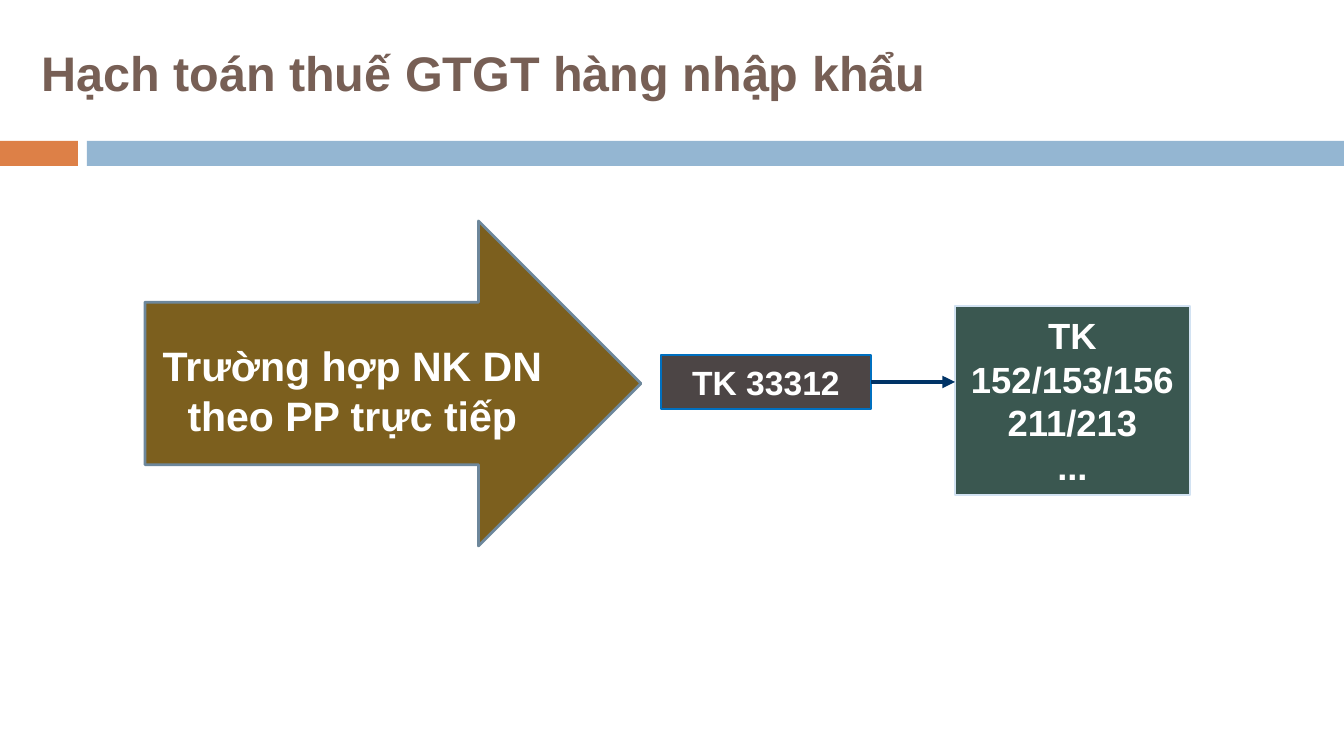
from lxml import etree
from pptx import Presentation
from pptx import util as u
from pptx.dml.color import RGBColor
from pptx.enum import shapes, text
from pptx.oxml.ns import qn

PX = 914400 / 134.4
THEME = {
    "font": "Arial",
    "white": "FFFFFF", "title": "775F55", "orange": "DD8047", "blue": "94B6D2",
    "brown": "7C5F1E", "brown_line": "6D879B", "grey": "4C4545", "grey_line": "0070C0",
    "green": "3A5750", "green_line": "D2E2F2", "connector": "003366",
    "title_size": 26, "arrow_size": 22, "target_size": 19.5, "source_size": 18,
}


def px(value):
    return u.Emu(round(value * PX))


def write(shape, lines, size, color, alignment):
    frame = shape.text_frame
    frame.word_wrap = True
    frame.vertical_anchor = text.MSO_ANCHOR.MIDDLE
    frame.text = "\n".join(lines)
    for paragraph in frame.paragraphs:
        paragraph.alignment = alignment
        paragraph.font.name = THEME["font"]
        paragraph.font.size = u.Pt(THEME[size])
        paragraph.font.bold = True
        paragraph.font.color.rgb = RGBColor.from_string(THEME[color])


presentation = Presentation()
presentation.slide_width, presentation.slide_height = px(1344), px(756)
slide = presentation.slides.add_slide(presentation.slide_layouts[6])

RECTANGLE = shapes.MSO_SHAPE.RECTANGLE
ARROW = shapes.MSO_SHAPE.RIGHT_ARROW
blocks = {}
for name, kind, box, fill, line, width in (
    ("accent", RECTANGLE, (0, 141, 78, 25), "orange", None, 0),
    ("band", RECTANGLE, (87, 141, 1257, 25), "blue", None, 0),
    ("target", RECTANGLE, (955, 306, 235, 189), "green", "green_line", 0.75),
    ("source", RECTANGLE, (661, 355, 210, 54), "grey", "grey_line", 0.75),
    ("case", ARROW, (145, 221, 496, 325), "brown", "brown_line", 1.5),
):
    shape = slide.shapes.add_shape(kind, *map(px, box))
    shape.shadow.inherit = False
    shape.fill.solid()
    shape.fill.fore_color.rgb = RGBColor.from_string(THEME[fill])
    if line:
        shape.line.color.rgb = RGBColor.from_string(THEME[line])
        shape.line.width = u.Pt(width)
    else:
        shape.line.fill.background()
    blocks[name] = shape

CENTER = text.PP_ALIGN.CENTER
write(blocks["target"], ["TK 152/153/156", "211/213", "..."], "target_size", "white", CENTER)
write(blocks["source"], ["TK 33312"], "source_size", "white", CENTER)
write(blocks["case"], ["Trường hợp NK DN theo PP trực tiếp"], "arrow_size", "white", CENTER)
blocks["case"].text_frame.margin_top = px(20)

connector = slide.shapes.add_connector(
    shapes.MSO_CONNECTOR.STRAIGHT, px(871), px(382), px(955), px(382))
connector.begin_connect(blocks["source"], 3)
connector.line.color.rgb = RGBColor.from_string(THEME["connector"])
connector.line.width = u.Pt(2.25)
etree.SubElement(connector.line._get_or_add_ln(), qn("a:tailEnd"), type="triangle")
etree.SubElement(connector._element.spPr, qn("a:effectLst"))

title = slide.shapes.add_textbox(px(28), px(31), px(952), px(82))
write(title, ["Hạch toán thuế GTGT hàng nhập khẩu"], "title_size", "title", text.PP_ALIGN.LEFT)

presentation.save("out.pptx")
